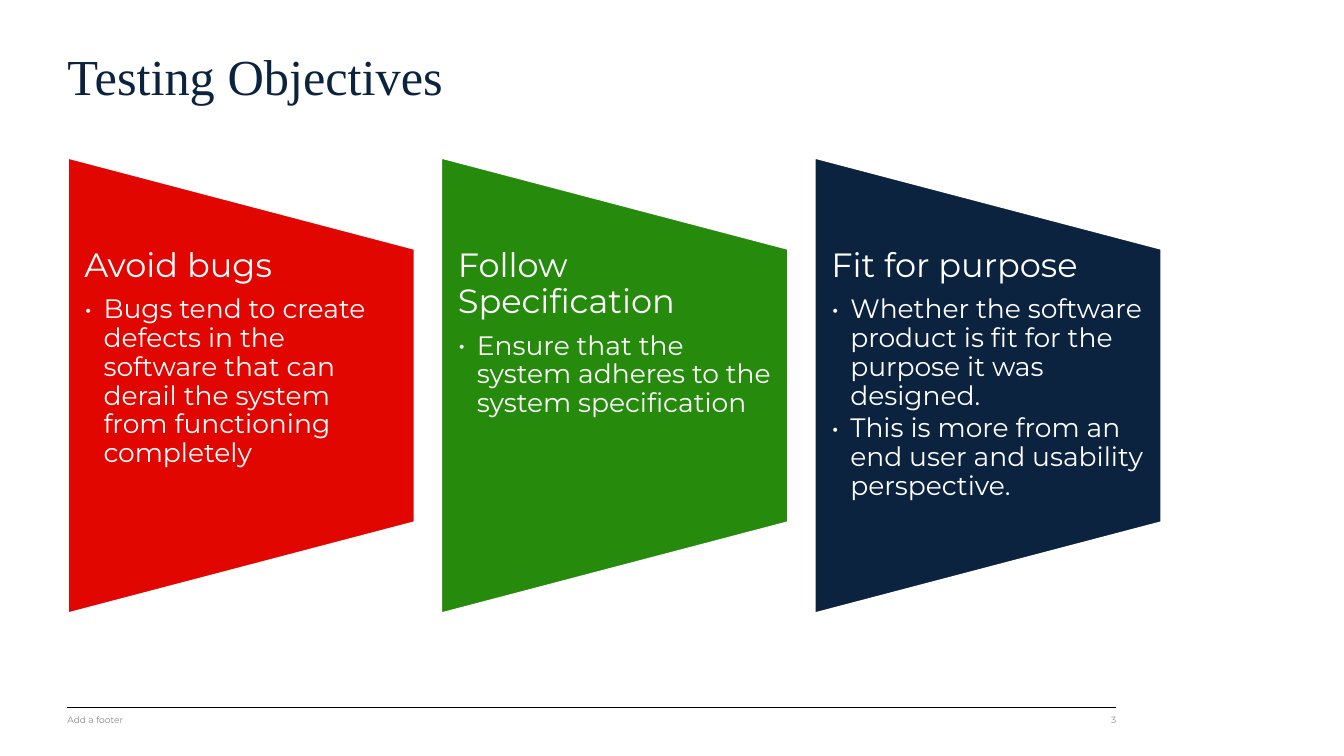
"""Build the Testing Objectives slide with three tapered panels."""
import pptx
import pptx.dml.color
import pptx.enum.shapes
import pptx.enum.text
import pptx.oxml.ns
import pptx.util
from dataclasses import dataclass
from lxml import etree

Cm = pptx.util.Cm
Pt = pptx.util.Pt
ANCHOR = pptx.enum.text.MSO_ANCHOR
ALIGN = pptx.enum.text.PP_ALIGN

TITLE = "Testing Objectives"
FOOTER = "Add a footer"
PAGE_NUMBER = "3"
PANELS = [
    ("Avoid bugs", "E10600", [
        "Bugs tend to create defects in the software that can derail the system from functioning completely",
    ]),
    ("Follow Specification", "268B0C", [
        "Ensure that the system adheres to the system specification",
    ]),
    ("Fit for purpose", "0C2340", [
        "Whether the software product is fit for the purpose it was designed.",
        "This is more from an end user and usability perspective.",
    ]),
]


@dataclass(frozen=True)
class Theme:
    title_font: str = "Times New Roman"
    body_font: str = "Montserrat"
    title_color: str = "0C2340"
    panel_text: str = "FFFFFF"
    footer_color: str = "8C8C8C"
    rule_color: str = "000000"
    title_size: float = 36
    heading_size: float = 24
    bullet_size: float = 19
    footer_size: float = 6.5


THEME = Theme()
MARGIN = 1.7
CONTENT_WIDTH = 26.43
PANEL_TOP, PANEL_WIDTH, PANEL_HEIGHT, PANEL_PITCH = 3.96, 8.76, 11.51, 9.41
TEXT_TOP, TEXT_HEIGHT, TEXT_INSET = 6.25, 6.91, 0.43
BULLET_INDENT = 0.48
RULE_TOP = 17.83
FOOTER_TOP, FOOTER_HEIGHT = 17.93, 0.53
FOOTER_WIDTH, NUMBER_WIDTH = 10.72, 1.35


def rgb(value):
    return pptx.dml.color.RGBColor.from_string(value)


def style(para, font, size, color):
    for span in para.runs:
        span.font.name = font
        span.font.size = Pt(size)
        span.font.color.rgb = rgb(color)


def add_box(page, left, top, width, height, insets, anchor=ANCHOR.TOP):
    box = page.shapes.add_textbox(Cm(left), Cm(top), Cm(width), Cm(height))
    frame = box.text_frame
    frame.word_wrap = True
    frame.vertical_anchor = anchor
    frame.margin_left, frame.margin_top, frame.margin_right, frame.margin_bottom = map(Cm, insets)
    return frame


def add_title(page):
    frame = add_box(page, MARGIN, 1.14, CONTENT_WIDTH, 2.36, (0, 0, 0.25, 0.13))
    frame.text = TITLE
    style(frame.paragraphs[0], THEME.title_font, THEME.title_size, THEME.title_color)


def add_footer(page, text, left, width, alignment):
    frame = add_box(page, left, FOOTER_TOP, width, FOOTER_HEIGHT, (0, 0, 0, 0.13), ANCHOR.MIDDLE)
    frame.text = text
    para = frame.paragraphs[0]
    para.alignment = alignment
    style(para, THEME.body_font, THEME.footer_size, THEME.footer_color)


def add_bullet(para):
    properties = para._p.get_or_add_pPr()
    properties.set("marL", str(Cm(BULLET_INDENT)))
    properties.set("indent", str(-Cm(BULLET_INDENT)))
    typeface = etree.SubElement(properties, pptx.oxml.ns.qn("a:buFont"))
    typeface.set("typeface", THEME.body_font)
    mark = etree.SubElement(properties, pptx.oxml.ns.qn("a:buChar"))
    mark.set("char", "•")


def add_panel(page, index, heading, color, bullets):
    left = MARGIN + index * PANEL_PITCH
    shift = (PANEL_HEIGHT - PANEL_WIDTH) / 2
    panel = page.shapes.add_shape(
        pptx.enum.shapes.MSO_SHAPE.FLOWCHART_MANUAL_OPERATION,
        Cm(left - shift), Cm(PANEL_TOP + shift), Cm(PANEL_HEIGHT), Cm(PANEL_WIDTH))
    panel.rotation = 270
    panel.shadow.inherit = False
    panel.fill.solid()
    panel.fill.fore_color.rgb = rgb(color)
    panel.line.color.rgb = rgb(THEME.panel_text)
    panel.line.width = Pt(2)

    frame = add_box(page, left, TEXT_TOP, PANEL_WIDTH, TEXT_HEIGHT, (TEXT_INSET, 0, TEXT_INSET, 0))
    frame.text = "\n".join([heading, *bullets])
    for position, para in enumerate(frame.paragraphs):
        is_heading = position == 0
        size = THEME.heading_size if is_heading else THEME.bullet_size
        para.line_spacing = 0.9
        para.space_after = Pt(size * (0.35 if is_heading else 0.15))
        if not is_heading:
            para.level = 1
            add_bullet(para)
        style(para, THEME.body_font, size, THEME.panel_text)


def add_rule(page):
    rule = page.shapes.add_connector(
        pptx.enum.shapes.MSO_CONNECTOR.STRAIGHT,
        Cm(MARGIN), Cm(RULE_TOP), Cm(MARGIN + CONTENT_WIDTH), Cm(RULE_TOP))
    rule.line.color.rgb = rgb(THEME.rule_color)
    rule.line.width = Pt(0.75)
    etree.SubElement(rule._element.spPr, pptx.oxml.ns.qn("a:effectLst"))


def main():
    deck = pptx.Presentation()
    deck.slide_width, deck.slide_height = Cm(33.87), Cm(19.05)
    page = deck.slides.add_slide(deck.slide_layouts[6])
    add_rule(page)
    add_title(page)
    for index, panel in enumerate(PANELS):
        add_panel(page, index, *panel)
    add_footer(page, FOOTER, MARGIN, FOOTER_WIDTH, ALIGN.LEFT)
    add_footer(page, PAGE_NUMBER, MARGIN + CONTENT_WIDTH - NUMBER_WIDTH, NUMBER_WIDTH, ALIGN.RIGHT)
    deck.save("out.pptx")


if __name__ == "__main__":
    main()
